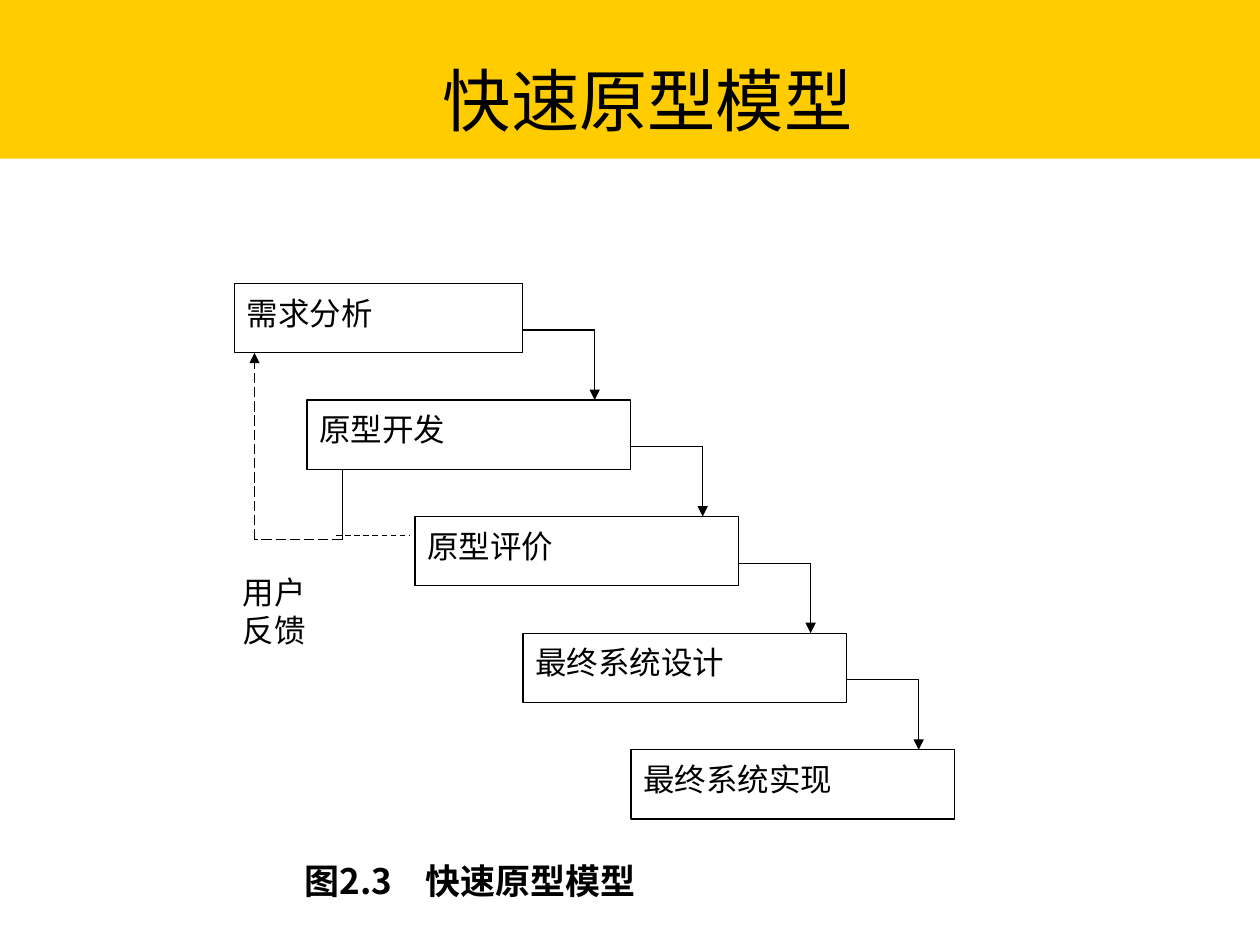
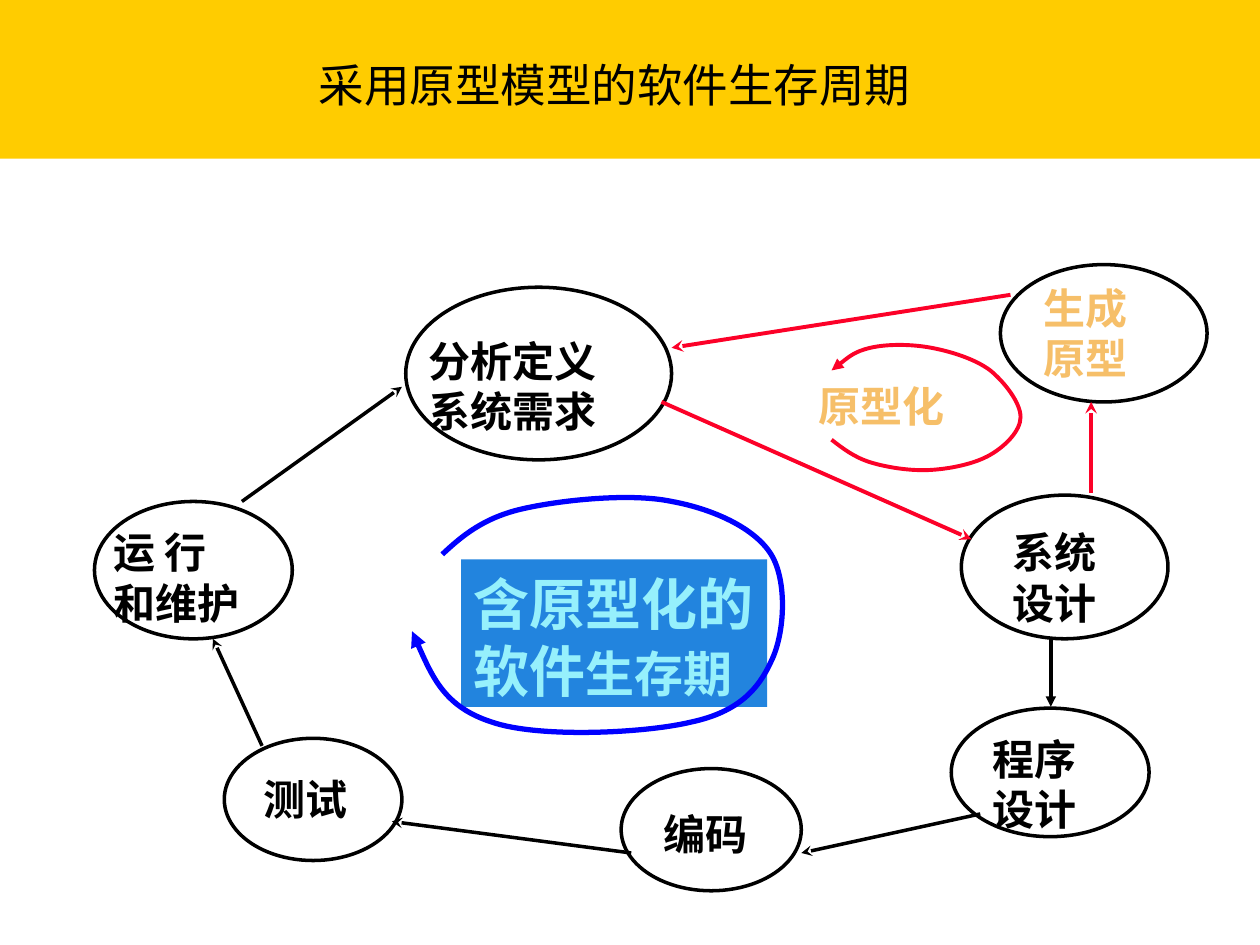
"""Build two slides on the rapid prototyping model."""
from itertools import pairwise

from lxml.etree import SubElement
from pptx import Presentation
from pptx.dml.color import RGBColor
from pptx.enum.dml import MSO_LINE
from pptx.enum.shapes import MSO_CONNECTOR, MSO_SHAPE
from pptx.enum.text import MSO_ANCHOR, PP_ALIGN
from pptx.oxml.ns import qn
from pptx.util import Inches, Pt

BLACK = RGBColor(0x00, 0x00, 0x00)
WHITE = RGBColor(0xFF, 0xFF, 0xFF)
YELLOW = RGBColor(0xFF, 0xCC, 0x00)
ORANGE = RGBColor(0xF6, 0xBF, 0x69)
RED = RGBColor(0xFC, 0x01, 0x28)
BLUE = RGBColor(0x00, 0x00, 0xFF)
PANEL_BLUE = RGBColor(0x22, 0x84, 0xDE)
PALE_CYAN = RGBColor(0x96, 0xF0, 0xFC)
SANS = "Noto Sans CJK SC"
SERIF = "Times New Roman"
NARROW = "Arial Narrow"


def write_text(shape, lines, size, font_name=SANS, color=BLACK, bold=False,
               align=PP_ALIGN.LEFT, anchor=MSO_ANCHOR.TOP, wrap=True, tab=None):
    """Fill a shape with one paragraph per line of text."""
    frame = shape.text_frame
    frame.word_wrap = wrap
    frame.vertical_anchor = anchor
    frame.margin_left = frame.margin_right = Inches(0.1)
    frame.margin_top, frame.margin_bottom = Inches(0.08), Inches(0.05)
    frame.text = "\n".join(lines)
    for paragraph in frame.paragraphs:
        paragraph.alignment = align
        paragraph.line_spacing = Pt(1.2 * size)
        if tab:
            tabs = SubElement(paragraph._p.get_or_add_pPr(), qn("a:tabLst"))
            SubElement(tabs, qn("a:tab"), pos=str(Inches(tab)), algn="l")
        font = paragraph.font
        font.size, font.name, font.bold = Pt(size), font_name, bold
        font.color.rgb = color
        SubElement(font._element, qn("a:ea"), typeface=SANS)


def style_line(shape, color, width, arrow=None, dash=None):
    """Colour a line, give it an arrowhead and drop its shadow."""
    shape.line.color.rgb = color
    shape.line.width = Pt(width)
    if dash:
        shape.line.dash_style = dash
    properties = shape._element.spPr
    if arrow:
        SubElement(properties.find(qn("a:ln")), qn("a:tailEnd"), type=arrow)
    SubElement(properties, qn("a:effectLst"))


presentation = Presentation()
presentation.slide_width, presentation.slide_height = Inches(10), Inches(7.5)

titles = [
    ("快速原型模型", (1.21, 0.29, 7.86, 0.96), 39, NARROW),
    ("采用原型模型的软件生存周期", (1.06, 0.28, 7.64, 0.75), 26, SANS),
]
for title, place, size, font_name in titles:
    slide = presentation.slides.add_slide(presentation.slide_layouts[6])
    band = slide.shapes.add_shape(MSO_SHAPE.RECTANGLE, 0, 0, Inches(10), Inches(1.26))
    band.shadow.inherit = False
    band.fill.solid()
    band.fill.fore_color.rgb = YELLOW
    band.line.fill.background()
    title_box = slide.shapes.add_textbox(*map(Inches, place))
    write_text(title_box, [title], size, font_name,
               align=PP_ALIGN.CENTER, anchor=MSO_ANCHOR.MIDDLE)
waterfall_slide, cycle_slide = presentation.slides

steps = ["需求分析", "原型开发", "原型评价", "最终系统设计", "最终系统实现"]
step_top, step_pitch, step_height = 2.25, 0.925, 0.55
first_right, right_pitch = 4.15, 0.857
flow_lines = [
    ((2.72, 3.73), (2.72, 4.28), None, None),
    ((2.72, 4.28), (2.02, 4.28), None, MSO_LINE.LONG_DASH),
    ((2.02, 4.28), (2.02, 2.8), "triangle", MSO_LINE.LONG_DASH),
    ((2.67, 4.25), (3.25, 4.25), None, MSO_LINE.DASH),
]
for index, step in enumerate(steps):
    width = 2.57 if index else 2.29
    right = first_right + index * right_pitch
    top = step_top + index * step_pitch
    box = waterfall_slide.shapes.add_shape(
        MSO_SHAPE.RECTANGLE, Inches(right - width), Inches(top),
        Inches(width), Inches(step_height))
    box.fill.solid()
    box.fill.fore_color.rgb = WHITE
    style_line(box, BLACK, 0.75)
    write_text(box, [step], 18, SERIF)
    if index < len(steps) - 1:
        start, corner = (right, top + 0.37), (right + 0.57, top + 0.37)
        flow_lines.append((start, corner, None, None))
        flow_lines.append((corner, (corner[0], top + step_pitch), "triangle", None))

for start, end, arrow, dash in flow_lines:
    connector = waterfall_slide.shapes.add_connector(
        MSO_CONNECTOR.STRAIGHT, *map(Inches, start + end))
    style_line(connector, BLACK, 0.75, arrow, dash)

feedback = waterfall_slide.shapes.add_textbox(
    Inches(1.83), Inches(4.47), Inches(1.43), Inches(0.92))
write_text(feedback, ["用户", "反馈"], 18, SERIF)
caption = waterfall_slide.shapes.add_textbox(
    Inches(2.32), Inches(6.74), Inches(3.86), Inches(0.44))
write_text(caption, ["图2.3\t快速原型模型"], 20, bold=True, tab=0.96)

ellipses = [
    (3.22, 2.28, 2.11, 1.37),
    (0.75, 3.98, 1.57, 1.09),
    (7.94, 2.1, 1.64, 1.09),
    (7.63, 3.93, 1.64, 1.14),
    (7.55, 5.62, 1.57, 1.02),
    (1.78, 5.86, 1.41, 0.97),
    (4.93, 6.1, 1.43, 0.97),
]
for place in ellipses:
    ellipse = cycle_slide.shapes.add_shape(MSO_SHAPE.OVAL, *map(Inches, place))
    ellipse.fill.background()
    style_line(ellipse, BLACK, 2)

labels = [
    (["分析定义", "系统需求"], 3.3, 2.58, BLACK),
    (["生成", "原型"], 8.18, 2.16, ORANGE),
    (["系统", "设计"], 7.94, 4.1, BLACK),
    (["程序", "设计"], 7.78, 5.74, BLACK),
    (["编码"], 5.17, 6.34, BLACK),
    (["测试"], 1.99, 6.06, BLACK),
    (["运 行", "和维护"], 0.8, 4.1, BLACK),
    (["原型化"], 6.4, 2.94, ORANGE),
]
for lines, left, top, color in labels:
    width = max(map(len, lines)) * 24 / 72 + 0.2
    label = cycle_slide.shapes.add_textbox(
        Inches(left), Inches(top), Inches(width), Inches(0.4 * len(lines) + 0.1))
    write_text(label, lines, 24, color=color, bold=True, wrap=False)

cycle_arrows = [
    ((8.02, 2.34), (5.33, 2.76), RED, 2.25, "stealth"),
    ((5.25, 3.19), (7.71, 4.28), RED, 2.25, "stealth"),
    ((8.66, 3.91), (8.66, 3.19), RED, 2.25, "stealth"),
    ((8.34, 5.07), (8.34, 5.61), BLACK, 2, "triangle"),
    ((7.78, 6.46), (6.36, 6.77), BLACK, 2, "stealth"),
    ((5.01, 6.77), (3.11, 6.52), BLACK, 2, "stealth"),
    ((2.08, 5.92), (1.69, 5.07), BLACK, 2, "stealth"),
    ((1.92, 3.98), (3.19, 3.07), BLACK, 2, "stealth"),
]
for start, end, color, width, arrow in cycle_arrows:
    connector = cycle_slide.shapes.add_connector(
        MSO_CONNECTOR.STRAIGHT, *map(Inches, start + end))
    style_line(connector, color, width, arrow)

panel = cycle_slide.shapes.add_textbox(
    Inches(3.66), Inches(4.44), Inches(2.43), Inches(1.17))
panel.fill.solid()
panel.fill.fore_color.rgb = PANEL_BLUE
write_text(panel, ["含原型化的", "软件"], 32, color=PALE_CYAN, bold=True, wrap=False)
smaller_run = panel.text_frame.paragraphs[1].add_run()
smaller_run.text = "生存期"
smaller_run.font.size = Pt(28)

prototype_loop = [
    (6.6, 3.49), (6.69, 3.56), (6.78, 3.63), (6.91, 3.67),
    (7.04, 3.71), (7.23, 3.74), (7.39, 3.73),
    (7.55, 3.72), (7.74, 3.68), (7.86, 3.61),
    (7.98, 3.54), (8.1, 3.42), (8.1, 3.31),
    (8.1, 3.2), (7.98, 3.04), (7.86, 2.94),
    (7.74, 2.85), (7.55, 2.79), (7.39, 2.76),
    (7.23, 2.73), (7.04, 2.73), (6.91, 2.76),
    (6.78, 2.79), (6.69, 2.87), (6.6, 2.94),
]
life_cycle_loop = [
    (3.51, 4.4), (3.67, 4.25), (3.84, 4.11), (4.14, 4.04),
    (4.44, 3.97), (5, 3.91), (5.33, 3.98),
    (5.66, 4.04), (5.99, 4.19), (6.12, 4.4),
    (6.25, 4.61), (6.23, 5.03), (6.12, 5.25),
    (6.02, 5.47), (5.86, 5.65), (5.49, 5.73),
    (5.12, 5.82), (4.27, 5.86), (3.9, 5.73),
    (3.53, 5.61), (3.4, 5.31), (3.27, 5.01),
]
for points, color, width in [(prototype_loop, RED, 2.25), (life_cycle_loop, BLUE, 3)]:
    vertices = [(round(x * 100), round(y * 100)) for x, y in points]
    builder = cycle_slide.shapes.build_freeform(*vertices[0], scale=Inches(0.01))
    builder.add_line_segments(vertices[1:], close=False)
    loop = builder.convert_to_shape()
    segments = loop._element.xpath(".//a:lnTo")
    for index in range(0, len(segments), 3):
        curve = SubElement(segments[index].getparent(), qn("a:cubicBezTo"))
        for segment in segments[index:index + 3]:
            curve.append(segment[0])
            segment.getparent().remove(segment)
    loop.fill.background()
    style_line(loop, color, width, "triangle")

presentation.save("out.pptx")
